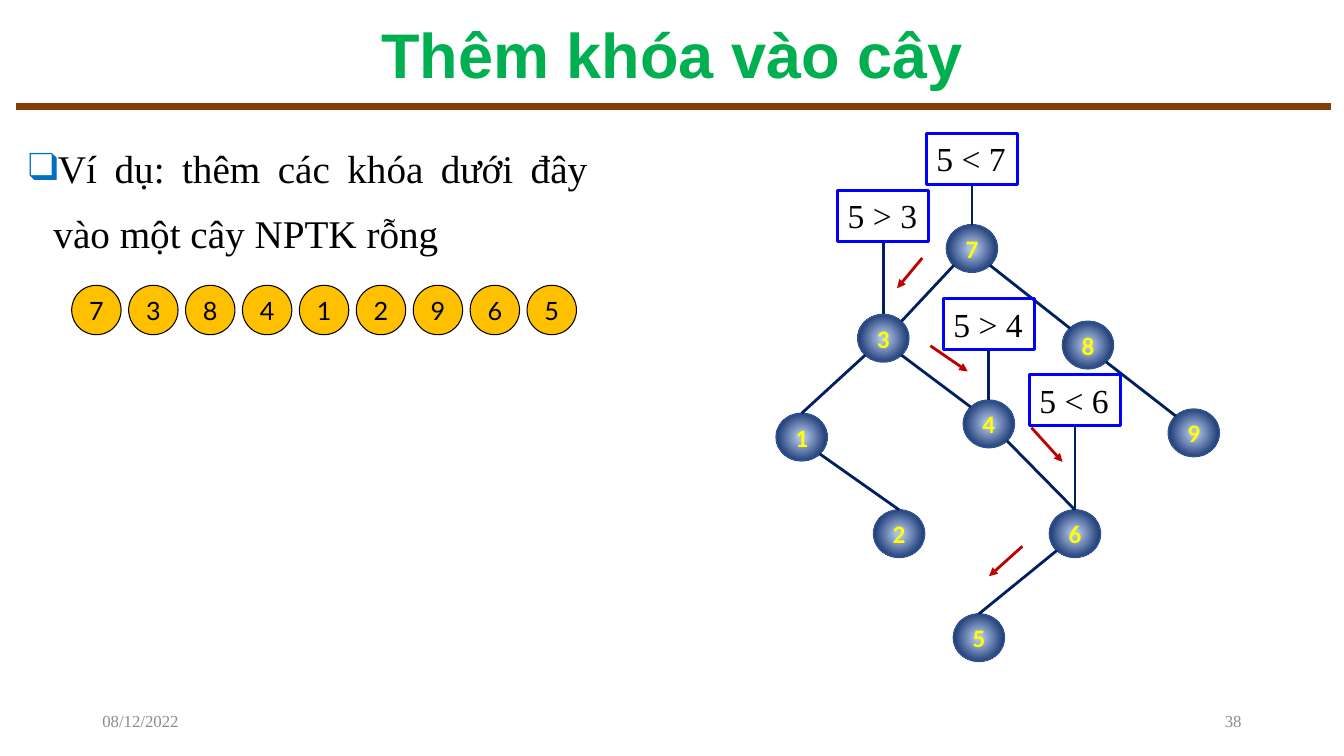
from pptx import Presentation
from pptx.dml.color import RGBColor
from pptx.enum.shapes import MSO_CONNECTOR, MSO_SHAPE
from pptx.enum.text import MSO_ANCHOR, MSO_AUTO_SIZE, PP_ALIGN
from pptx.oxml import parse_xml
from pptx.oxml.ns import nsdecls
from pptx.util import Pt

COLORS = {
    "title": "00B050", "rule": "843C0B", "bullet": "0070C0", "text": "000000",
    "footer": "8C8C8C", "key": "FFC000", "edge": "002060", "arrow": "C00000",
    "label": "0000FF", "node_line": "325491", "node_text": "FFFF00",
    "node_light": "ABC0E4", "node_rim": "C7D5ED",
}

KEYS = "738412965"
KEY_SIZE, KEY_LEFT, KEY_TOP, KEY_STEP = 35.3, 51.2, 203.8, 40.66

# Tree: left and top of each node
NODE_WIDTH, NODE_HEIGHT = 36.5, 34
NODES = {
    "7": (676, 160.5), "3": (612.7, 224.6), "8": (758.9, 229.5),
    "4": (688.1, 285.8), "1": (554.4, 295.2), "2": (624, 364.2),
    "9": (834.5, 292.2), "6": (749.6, 364.2), "5": (681, 438.5),
}
# Parent, child, side the edge leaves by, point where it meets the child
LEFT, RIGHT = -1, 1
DIAGONAL = 0.707
TOP = (0, -1)
TOP_LEFT, TOP_RIGHT = (-DIAGONAL, -DIAGONAL), (DIAGONAL, -DIAGONAL)
EDGES = [
    ("7", "3", LEFT, TOP_RIGHT), ("7", "8", RIGHT, TOP_LEFT),
    ("3", "1", LEFT, TOP), ("3", "4", RIGHT, TOP_LEFT),
    ("1", "2", RIGHT, TOP), ("8", "9", RIGHT, TOP_LEFT),
    ("4", "6", RIGHT, TOP), ("6", "5", LEFT, TOP),
]

# Comparison text, node it stands above, top of the box
LABEL_WIDTH, LABEL_HEIGHT = 65, 36.4
COMPARISONS = [("5 > 3", "3", 136), ("5 < 7", "7", 95.2),
               ("5 > 4", "4", 213.2), ("5 < 6", "6", 267.8)]
ARROWS = [((658.8, 184.3), (640.8, 205.9)), ((664.6, 247), (691.2, 265.3)),
          ((736.8, 305.5), (759, 330)), ((730.3, 390.2), (706.5, 411.6))]


def color(name):
    return RGBColor.from_string(COLORS[name])


def set_attributes(target, values):
    for name, value in values.items():
        setattr(target, name, value)


def write_text(shape, text, color_name, font, frame=None, paragraph=None):
    set_attributes(shape.text_frame, frame or {})
    first = shape.text_frame.paragraphs[0]
    set_attributes(first, paragraph or {})
    run = first.add_run()
    run.text = text
    set_attributes(run.font, font)
    run.font.color.rgb = color(color_name)
    return first


def place(shape, left, top, width, height):
    set_attributes(shape, {"left": Pt(left), "top": Pt(top),
                           "width": Pt(width), "height": Pt(height)})


def add_outlined(slide, kind, box, line_name, line_width):
    shape = slide.shapes.add_shape(kind, *(Pt(value) for value in box))
    shape.shadow.inherit = False
    shape.line.color.rgb = color(line_name)
    shape.line.width = Pt(line_width)
    return shape


def add_line(slide, start, end, color_name, width=2, arrow=False):
    line = slide.shapes.add_connector(
        MSO_CONNECTOR.STRAIGHT, *(Pt(value) for value in (*start, *end)))
    line.line.color.rgb = color(color_name)
    line.line.width = Pt(width)
    if arrow:
        line.line._get_or_add_ln().append(
            parse_xml(f'<a:tailEnd {nsdecls("a")} type="triangle"/>'))
    line._element.spPr.append(parse_xml(f'<a:effectLst {nsdecls("a")}/>'))


def add_key(slide, index, key):
    box = (KEY_LEFT + index * KEY_STEP, KEY_TOP, KEY_SIZE, KEY_SIZE)
    shape = add_outlined(slide, MSO_SHAPE.OVAL, box, "text", 0.75)
    shape.fill.solid()
    shape.fill.fore_color.rgb = color("key")
    write_text(shape, key, "text", {"name": "Lato", "size": Pt(18)},
               {"word_wrap": False, "vertical_anchor": MSO_ANCHOR.MIDDLE},
               {"alignment": PP_ALIGN.CENTER})


def add_node(slide, key):
    box = (*NODES[key], NODE_WIDTH, NODE_HEIGHT)
    shape = add_outlined(slide, MSO_SHAPE.OVAL, box, "node_line", 1)
    stops = [(10, "node_light"), (85, "edge"), (100, "node_light"), (100, "node_rim")]
    stop_xml = "".join(
        f'<a:gs pos="{position * 1000}"><a:srgbClr val="{COLORS[name]}"/></a:gs>'
        for position, name in stops)
    shape._element.spPr.prstGeom.addnext(parse_xml(
        f'<a:gradFill {nsdecls("a")} rotWithShape="1"><a:gsLst>{stop_xml}</a:gsLst>'
        '<a:path path="circle"><a:fillToRect l="50000" t="50000" r="50000" b="50000"/>'
        '</a:path></a:gradFill>'))
    write_text(shape, key, "node_text", {"name": "Calibri", "size": Pt(18), "bold": True},
               {"vertical_anchor": MSO_ANCHOR.MIDDLE}, {"alignment": PP_ALIGN.CENTER})


def node_point(key, direction):
    left, top = NODES[key]
    return (left + NODE_WIDTH / 2 * (1 + direction[0]),
            top + NODE_HEIGHT / 2 * (1 + direction[1]))


def add_comparison(slide, text, key, top):
    center, node_top = node_point(key, TOP)
    add_line(slide, (center, top + LABEL_HEIGHT), (center, node_top), "edge")
    box = (center - LABEL_WIDTH / 2, top, LABEL_WIDTH, LABEL_HEIGHT)
    shape = add_outlined(slide, MSO_SHAPE.RECTANGLE, box, "label", 2)
    shape.fill.background()
    write_text(shape, text, "text", {"name": "Times New Roman", "size": Pt(24)},
               {"word_wrap": False, "vertical_anchor": MSO_ANCHOR.TOP,
                "auto_size": MSO_AUTO_SIZE.SHAPE_TO_FIT_TEXT},
               {"alignment": PP_ALIGN.LEFT})


def add_footer(slide, text, left, alignment):
    shape = slide.shapes.add_textbox(Pt(left), Pt(500.5), Pt(216), Pt(28.8))
    write_text(shape, text, "footer", {"name": "Times New Roman", "size": Pt(12)},
               {"word_wrap": True, "vertical_anchor": MSO_ANCHOR.MIDDLE},
               {"alignment": alignment})


def fill_title(slide):
    title = slide.shapes.title
    place(title, 66, 12.2, 828, 58.3)
    write_text(title, "Thêm khóa vào cây", "title",
               {"name": "Arial", "size": Pt(45), "bold": True},
               {"vertical_anchor": MSO_ANCHOR.MIDDLE, "auto_size": MSO_AUTO_SIZE.NONE},
               {"alignment": PP_ALIGN.CENTER, "line_spacing": 0.9})


def fill_body(slide):
    body = slide.placeholders[1]
    place(body, 13, 85.7, 414, 442)
    paragraph = write_text(
        body, "Ví dụ: thêm các khóa dưới đây vào một cây NPTK rỗng", "text",
        {"name": "Times New Roman", "size": Pt(28)},
        {"vertical_anchor": MSO_ANCHOR.TOP, "auto_size": MSO_AUTO_SIZE.NONE},
        {"alignment": PP_ALIGN.JUSTIFY, "line_spacing": 1.4, "space_before": Pt(0)})
    properties = paragraph._p.get_or_add_pPr()
    properties.set("marL", str(Pt(18)))
    properties.set("indent", str(-Pt(18)))
    for bullet in (f'<a:buClr {nsdecls("a")}><a:srgbClr val="{COLORS["bullet"]}"/></a:buClr>',
                   f'<a:buFont {nsdecls("a")} typeface="Times New Roman"/>',
                   f'<a:buChar {nsdecls("a")} char="❑"/>'):
        properties.append(parse_xml(bullet))


def main():
    presentation = Presentation()
    presentation.slide_width, presentation.slide_height = Pt(960), Pt(540)
    slide = presentation.slides.add_slide(presentation.slide_layouts[1])

    # Heading, text and footer
    add_line(slide, (11.5, 76.3), (951, 76.3), "rule", 5)
    fill_title(slide)
    fill_body(slide)
    add_footer(slide, "38", 678, PP_ALIGN.RIGHT)
    add_footer(slide, "08/12/2022", 66, PP_ALIGN.LEFT)

    # Keys to insert
    for index, key in enumerate(KEYS):
        add_key(slide, index, key)

    # Search tree
    for key in NODES:
        add_node(slide, key)
    for parent, child, side, arrival in EDGES:
        add_line(slide, node_point(parent, (side * DIAGONAL, DIAGONAL)),
                 node_point(child, arrival), "edge")

    # Comparisons and the way taken by the new key
    for text, key, top in COMPARISONS:
        add_comparison(slide, text, key, top)
    for start, end in ARROWS:
        add_line(slide, start, end, "arrow", arrow=True)

    presentation.save("out.pptx")


if __name__ == "__main__":
    main()
